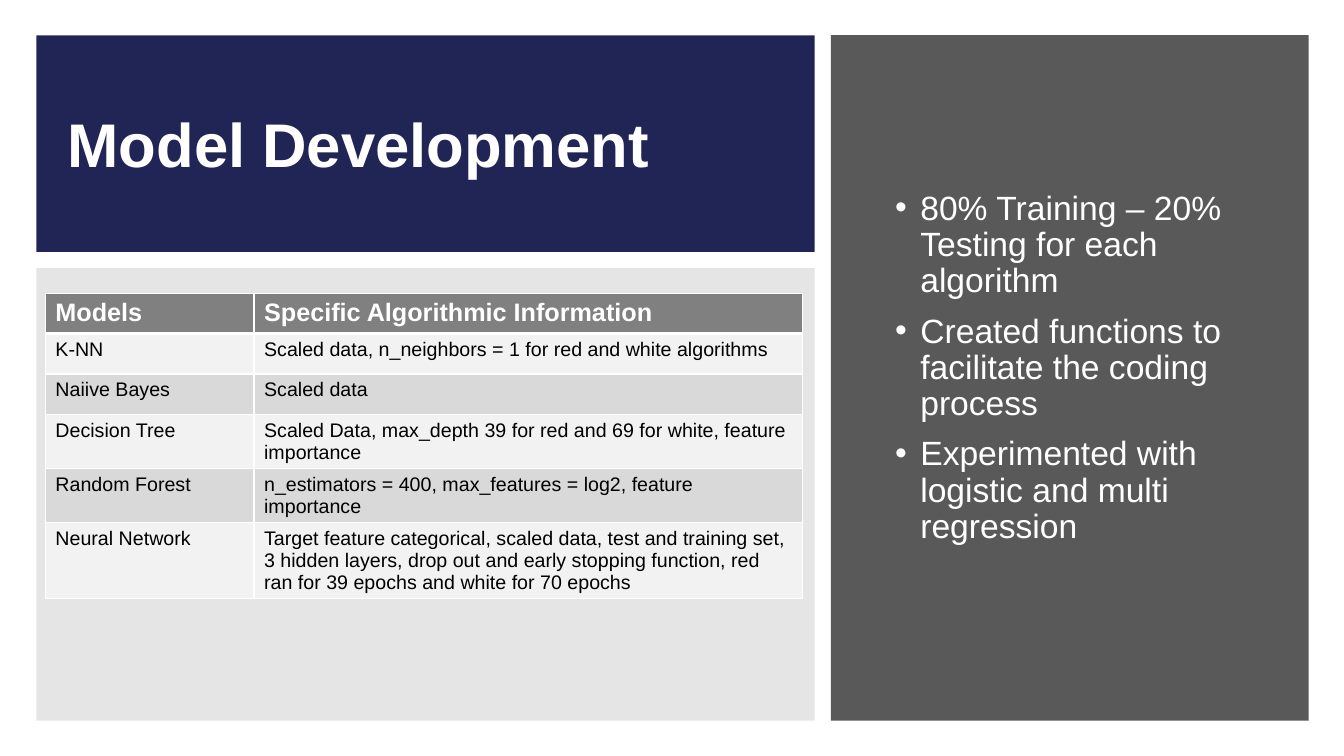
from lxml.etree import SubElement, fromstring
from pptx import Presentation
from pptx.dml.color import RGBColor
from pptx.enum.shapes import MSO_SHAPE
from pptx.enum.text import MSO_ANCHOR, PP_ALIGN
from pptx.oxml.ns import nsdecls, qn
from pptx.util import Inches, Pt

FONT = "Arial"
NAVY = RGBColor(0x21, 0x25, 0x55)
SLATE = RGBColor(0x59, 0x59, 0x59)
GRAY = RGBColor(0x7F, 0x7F, 0x7F)
HEAD = RGBColor(0x80, 0x80, 0x80)
BANDS = [RGBColor(0xF2, 0xF2, 0xF2), RGBColor(0xD9, 0xD9, 0xD9)]
WHITE = RGBColor(0xFF, 0xFF, 0xFF)
BLACK = RGBColor(0, 0, 0)

MODELS = [
    ("Models", "Specific Algorithmic Information"),
    ("K-NN", "Scaled data, n_neighbors = 1 for red and white algorithms"),
    ("Naiive Bayes", "Scaled data"),
    ("Decision Tree", "Scaled Data, max_depth 39 for red and 69 for white, "
                      "feature importance"),
    ("Random Forest", "n_estimators = 400, max_features = log2, "
                      "feature importance"),
    ("Neural Network", "Target feature categorical, scaled data, test and "
                       "training set, 3 hidden layers, drop out and early "
                       "stopping function, red ran for 39 epochs and white "
                       "for 70 epochs"),
]
POINTS = [
    "80% Training – 20% Testing for each algorithm",
    "Created functions to facilitate the coding process",
    "Experimented with logistic and multi regression",
]


def style(par, size, color, bold=False):
    for run in par.runs:
        font = run.font
        font.name, font.size, font.bold = FONT, Pt(size), bold
        font.color.rgb = color


def place(shape, left, top, width, height):
    shape.left, shape.top = Inches(left), Inches(top)
    shape.width, shape.height = Inches(width), Inches(height)


def add_panel(slide, box, color, alpha=None):
    """Add a flat rectangle; alpha is its opacity in percent."""
    panel = slide.shapes.add_shape(
        MSO_SHAPE.RECTANGLE, *(Inches(n) for n in box))
    panel.shadow.inherit = False
    panel.line.fill.background()
    panel.fill.solid()
    panel.fill.fore_color.rgb = color
    if alpha:
        tone = panel.element.spPr.find(".//" + qn("a:srgbClr"))
        SubElement(tone, qn("a:alpha"), val=str(alpha * 1000))
    return panel


def add_title(slide, box):
    left, top, width, height = box
    panel = add_panel(slide, box, NAVY)
    title = slide.shapes.title
    title.element.addprevious(panel.element)
    place(title, left + 0.21, top + 0.22, width - 0.51, height - 0.37)
    frame = title.text_frame
    frame.text = "Model Development"
    frame.word_wrap = True
    frame.vertical_anchor = MSO_ANCHOR.MIDDLE
    par = frame.paragraphs[0]
    par.alignment = PP_ALIGN.LEFT
    par.line_spacing = 0.9
    style(par, 44, WHITE, True)


def set_edges(cell, head, first):
    """Draw white cell edges, thick between the header and the first row."""
    props = cell._tc.get_or_add_tcPr()
    widths = {"L": 1, "R": 1, "T": 3 if first else 1, "B": 3 if head else 1}
    for spot, (side, width) in enumerate(widths.items()):
        props.insert(spot, fromstring(
            f'<a:ln{side} {nsdecls("a")} w="{Pt(width)}"><a:solidFill>'
            f'<a:srgbClr val="{WHITE}"/></a:solidFill></a:ln{side}>'))


def add_models(slide, box):
    left, top, width, height = box
    add_panel(slide, box, GRAY, 20)
    table = slide.shapes.add_table(
        len(MODELS), 2, Inches(left + 0.09), Inches(top + 0.25),
        Inches(7.51), Inches(2.75)).table
    for col, size in zip(table.columns, (2.07, 5.44)):
        col.width = Inches(size)
    for row in table.rows:
        row.height = Inches(0.4)
    table.rows[len(MODELS) - 1].height = Inches(0.75)
    for r, texts in enumerate(MODELS):
        head = r == 0
        for c, text in enumerate(texts):
            cell = table.cell(r, c)
            cell.text = text
            cell.fill.solid()
            cell.fill.fore_color.rgb = HEAD if head else BANDS[(r - 1) % 2]
            style(cell.text_frame.paragraphs[0], 18 if head else 14,
                  WHITE if head else BLACK, head)
            set_edges(cell, head, r == 1)


def add_points(slide, box):
    left, top, width, height = box
    add_panel(slide, box, SLATE)
    body = slide.shapes.add_textbox(0, 0, 0, 0)
    place(body, left + 0.54, top + 0.65, 3.75, 5.31)
    frame = body.text_frame
    frame.text = "\n".join(POINTS)
    frame.word_wrap = True
    frame.vertical_anchor = MSO_ANCHOR.MIDDLE
    for par in frame.paragraphs:
        par.line_spacing = 0.9
        par.space_before = Pt(10)
        style(par, 24, WHITE)
        props = par._p.get_or_add_pPr()
        props.set("marL", str(Inches(0.25)))
        props.set("indent", str(Inches(-0.25)))
        SubElement(props, qn("a:buFont"), typeface=FONT)
        SubElement(props, qn("a:buChar"), char="•")


def main():
    deck = Presentation()
    deck.slide_width, deck.slide_height = Inches(13.33), Inches(7.5)
    slide = deck.slides.add_slide(deck.slide_layouts[5])
    add_title(slide, (0.36, 0.35, 7.72, 2.15))
    add_models(slide, (0.36, 2.66, 7.72, 4.49))
    add_points(slide, (8.24, 0.35, 4.74, 6.8))
    deck.save("out.pptx")


if __name__ == "__main__":
    main()
